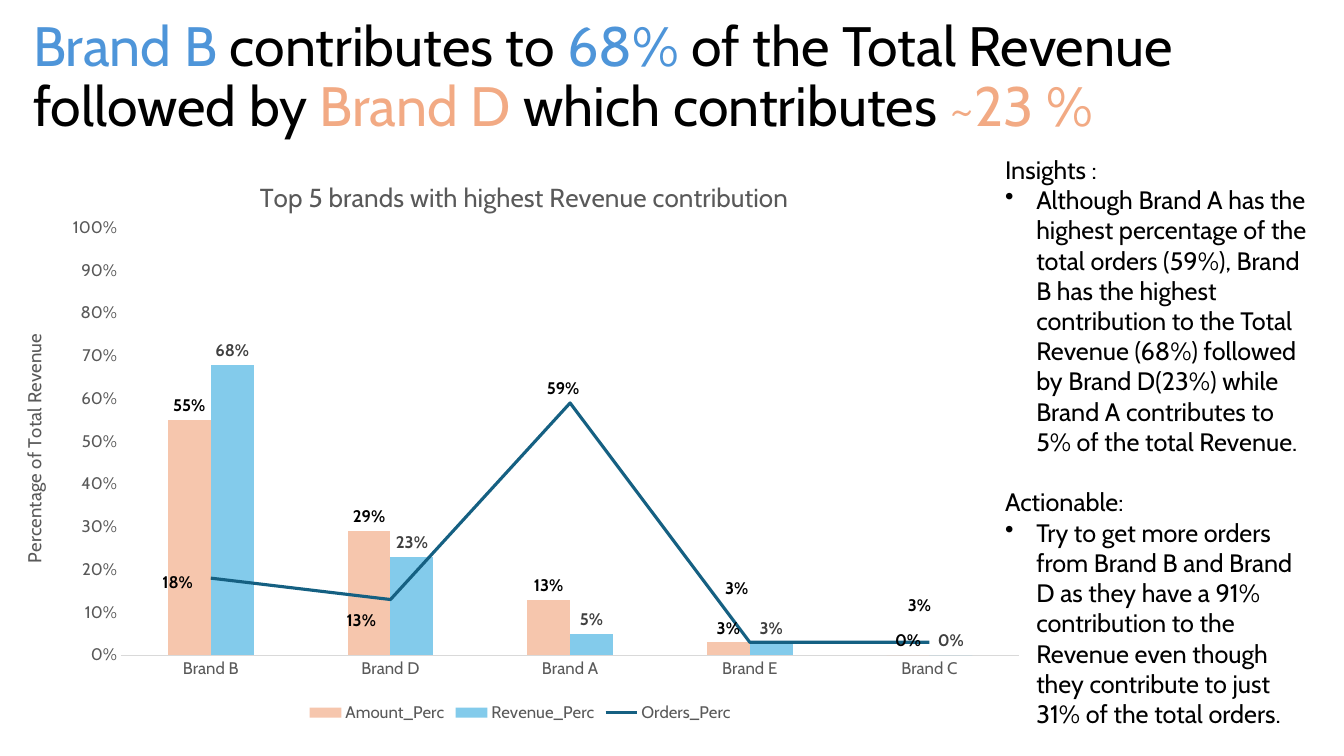
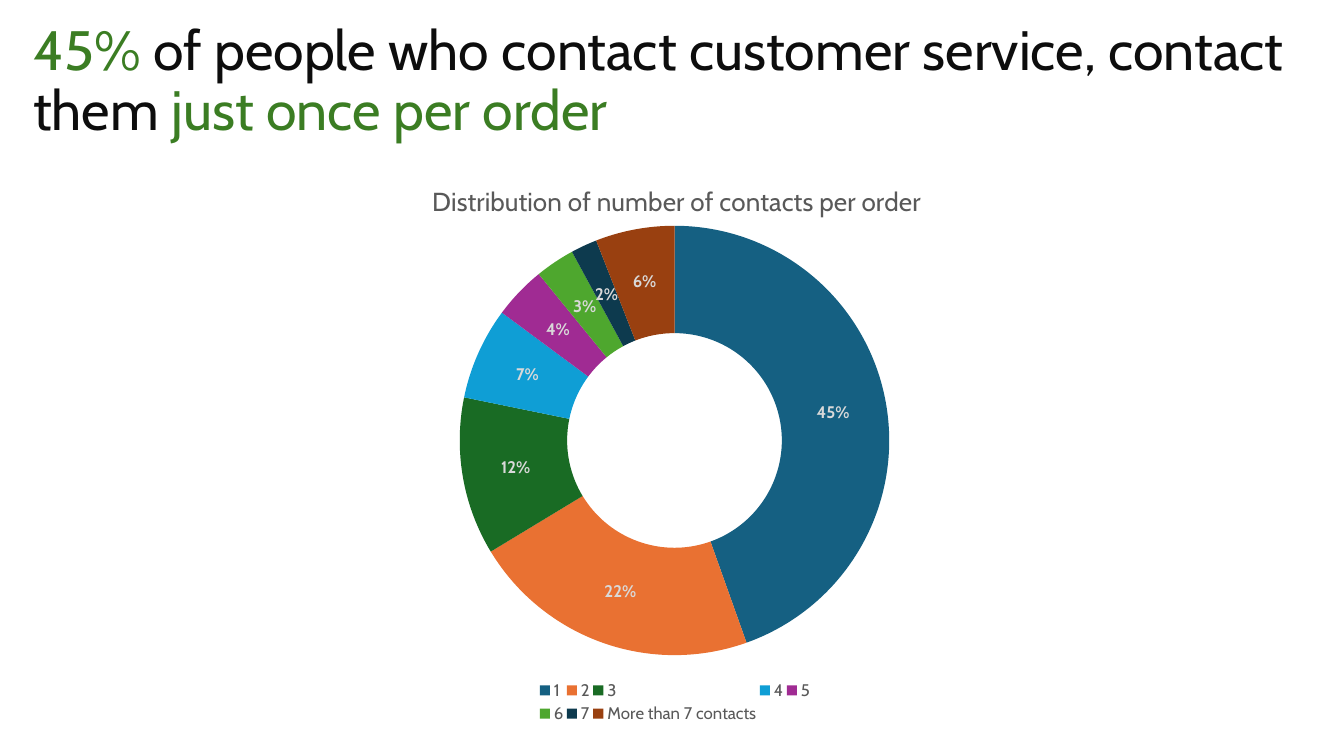
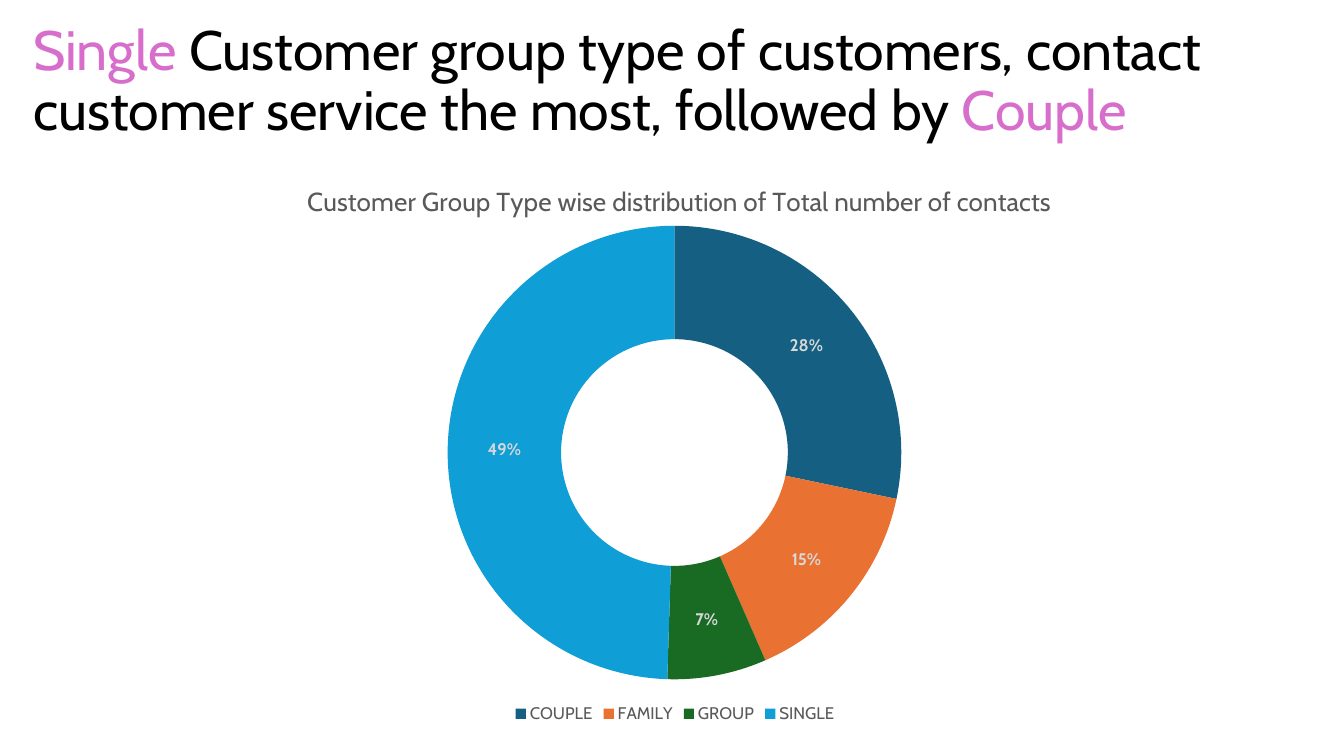
from dataclasses import dataclass
from typing import Optional

import pptx
import pptx.chart.data
import pptx.dml.color
import pptx.enum.chart
import pptx.enum.text
import pptx.oxml
import pptx.oxml.ns
import pptx.util

Inches = pptx.util.Inches
Pt = pptx.util.Pt
ChartType = pptx.enum.chart.XL_CHART_TYPE
LabelPosition = pptx.enum.chart.XL_LABEL_POSITION
NAMESPACE = pptx.oxml.ns.nsdecls("c")
PERCENT = "0%"


@dataclass(frozen=True)
class Theme:
    font: str = "Cabin"
    headline_size: float = 39.6
    chart_title_size: float = 18.6
    body_size: float = 18
    axis_title_size: float = 13.3
    label_size: float = 12
    black: str = "000000"
    near_black: str = "0D0D0D"
    dark_grey: str = "404040"
    grey: str = "595959"
    light_grey: str = "D9D9D9"
    blue: str = "4E95D9"
    peach: str = "F2AA84"
    green: str = "3B7D23"
    pink: str = "D86ECC"
    amount: str = "F6C6AD"
    revenue: str = "83CBEB"
    orders: str = "156082"
    slices: tuple[str, ...] = ("156082", "E97132", "196B24", "0F9ED5",
                               "A02B93", "4EA72E", "0D3A4E", "994010")


THEME = Theme()


@dataclass(frozen=True)
class Box:
    """A rectangle on the slide, in inches."""
    left: float
    top: float
    width: float
    height: float

    def lengths(self) -> list[int]:
        return [Inches(value) for value in (self.left, self.top, self.width, self.height)]


@dataclass(frozen=True)
class Span:
    text: str
    color: str = THEME.black


@dataclass(frozen=True)
class Series:
    name: str
    values: tuple[float, ...]
    color: str
    label_color: str = THEME.black


@dataclass(frozen=True)
class Doughnut:
    headline: tuple[Span, ...]
    title: str
    title_left: float
    slices: dict[str, float]
    plot: Box
    legend: Optional[Box] = None


@dataclass(frozen=True)
class Insight:
    heading: str
    bullet: str


COLUMN_FRAME = Box(0, 1.48, 10.32, 5.73)
COLUMN_PLOT = Box(1.2, 2.26, 8.91, 4.24)
DOUGHNUT_FRAME = Box(0.47, 1.52, 12.45, 5.7)
INSIGHTS_BOX = Box(9.87, 1.48, 3.23, 6.16)
TITLE_DROP = 0.25
BULLET_INDENT = 0.31

BRANDS = ("Brand B", "Brand D", "Brand A", "Brand E", "Brand C")
BRAND_SERIES = (
    Series("Amount_Perc", (0.55, 0.29, 0.13, 0.03, 0), THEME.amount),
    Series("Revenue_Perc", (0.68, 0.23, 0.05, 0.03, 0), THEME.revenue, THEME.dark_grey),
    Series("Orders_Perc", (0.18, 0.13, 0.59, 0.03, 0.03), THEME.orders),
)
ORDER_LABEL_SHIFTS = ((-0.33, 0.05), (-0.29, 0.21), (-0.07, -0.14),
                      (-0.13, -0.53), (-0.1, -0.36))
BRAND_HEADLINE = (
    Span("Brand B", THEME.blue), Span(" contributes to "), Span("68%", THEME.blue),
    Span(" of the Total Revenue followed by "), Span("Brand D", THEME.peach),
    Span(" which contributes "), Span("~23 %", THEME.peach),
)
INSIGHTS = (
    Insight("Insights :",
            "Although Brand A has the highest percentage of the total orders (59%), "
            "Brand B has the highest contribution to the Total Revenue (68%) followed by "
            "Brand D(23%) while Brand A contributes to 5% of the total Revenue."),
    Insight("Actionable:",
            "Try to get more orders from Brand B and Brand D as they have a 91% "
            "contribution to the Revenue even though they contribute to just 31% of the "
            "total orders."),
)
DOUGHNUTS = (
    Doughnut(
        (Span("45% ", THEME.green),
         Span("of people who contact customer service, contact them ", THEME.near_black),
         Span("just once per order", THEME.green)),
        "Distribution of number of contacts per order", 4.24,
        {"1": 0.45, "2": 0.22, "3": 0.12, "4": 0.07, "5": 0.04, "6": 0.03, "7": 0.02,
         "More than 7 contacts": 0.06},
        Box(4.56, 2.24, 4.26, 4.26), Box(5.32, 6.72, 2.75, 0.49)),
    Doughnut(
        (Span("Single ", THEME.pink),
         Span("Customer group type of customers, contact customer service the most, "
              "followed by "),
         Span("Couple", THEME.pink)),
        "Customer Group Type wise distribution of Total number of contacts", 3,
        {"COUPLE": 0.28, "FAMILY": 0.15, "GROUP": 0.07, "SINGLE": 0.49},
        Box(4.44, 2.24, 4.5, 4.5)),
)


def rgb(color: str) -> pptx.dml.color.RGBColor:
    return pptx.dml.color.RGBColor.from_string(color)


def style_font(font, size: float, color: str, bold: bool = False) -> None:
    font.name = THEME.font
    font.size = Pt(size)
    font.bold = bold
    font.color.rgb = rgb(color)


def paint(chart_format, color: str) -> None:
    chart_format.fill.solid()
    chart_format.fill.fore_color.rgb = rgb(color)
    chart_format.line.fill.background()


def add_text_frame(page, box: Box):
    frame = page.shapes.add_textbox(*box.lengths()).text_frame
    frame.word_wrap = True
    return frame


def add_headline(page, spans: tuple[Span, ...], top: float) -> None:
    frame = add_text_frame(page, Box(0.23, top, 12.89, 1.41))
    frame.vertical_anchor = pptx.enum.text.MSO_ANCHOR.MIDDLE
    paragraph = frame.paragraphs[0]
    paragraph.line_spacing = 0.9
    for span in spans:
        run = paragraph.add_run()
        run.text = span.text
        style_font(run.font, THEME.headline_size, span.color)


def add_bullet(paragraph) -> None:
    properties = paragraph._p.get_or_add_pPr()
    properties.set("marL", str(Inches(BULLET_INDENT)))
    properties.set("indent", str(-Inches(BULLET_INDENT)))
    properties.append(pptx.oxml.parse_xml(
        f'<a:buChar {pptx.oxml.ns.nsdecls("a")} char="•"/>'))


def add_insights(page) -> None:
    frame = add_text_frame(page, INSIGHTS_BOX)
    frame.text = "\n".join(f"{item.heading}\n{item.bullet}" for item in INSIGHTS)
    for index, paragraph in enumerate(frame.paragraphs):
        style_font(paragraph.runs[0].font, THEME.body_size, THEME.black)
        if index % 2:
            add_bullet(paragraph)
        elif index:
            paragraph.space_before = Pt(21.6)


def set_layout(element, index: int, **settings) -> None:
    """Give a chart element a manual layout, as its child number index."""
    for old in element.xpath("c:layout"):
        element.remove(old)
    tags = "".join(f'<c:{name} val="{value}"/>' for name, value in settings.items())
    element.insert(index, pptx.oxml.parse_xml(
        f"<c:layout {NAMESPACE}><c:manualLayout>{tags}</c:manualLayout></c:layout>"))


def place(element, index: int, box: Box, frame: Box, **settings) -> None:
    """Place a part of a chart on a box measured on the slide."""
    settings |= {"xMode": "edge", "yMode": "edge",
                 "x": (box.left - frame.left) / frame.width,
                 "y": (box.top - frame.top) / frame.height}
    if box.width:
        settings |= {"w": box.width / frame.width, "h": box.height / frame.height}
    set_layout(element, index, **settings)


def add_chart(page, kind, frame: Box, data, title: str, title_left: float, plot: Box):
    chart = page.shapes.add_chart(kind, *frame.lengths(), data).chart
    style_font(chart.font, 10, THEME.black)
    chart.has_title = True
    heading = chart.chart_title
    heading.text_frame.text = title
    style_font(heading.text_frame.paragraphs[0].runs[0].font,
               THEME.chart_title_size, THEME.grey)
    place(heading._element, 1, Box(title_left, frame.top + TITLE_DROP, 0, 0), frame)
    place(chart._chartSpace.xpath("c:chart/c:plotArea")[0], 0, plot, frame,
          layoutTarget="inner")
    chart.has_legend = True
    chart.legend.position = pptx.enum.chart.XL_LEGEND_POSITION.BOTTOM
    chart.legend.include_in_layout = False
    style_font(chart.legend.font, THEME.label_size, THEME.grey)
    return chart


def show_labels(series, color: str, position=None) -> None:
    labels = series.data_labels
    labels.show_value = True
    labels.number_format = PERCENT
    labels.number_format_is_linked = False
    style_font(labels.font, THEME.label_size, color, bold=True)
    if position is not None:
        labels.position = position
    for leader in labels._element.xpath("c:showLeaderLines"):
        leader.set("val", "0")


def move_last_series_to_line(chart) -> None:
    columns = chart._chartSpace.xpath(".//c:barChart")[0]
    orders = columns.xpath("c:ser")[-1]
    for flag in orders.xpath("c:invertIfNegative"):
        orders.remove(flag)
    axes = "".join(f'<c:axId val="{axis.get("val")}"/>' for axis in columns.xpath("c:axId"))
    line = pptx.oxml.parse_xml(
        f'<c:lineChart {NAMESPACE}><c:grouping val="standard"/><c:varyColors val="0"/>'
        f'<c:marker val="1"/>{axes}</c:lineChart>')
    line.insert(2, orders)
    columns.addnext(line)


def style_order_line(series, style: Series) -> None:
    series.smooth = False
    series.marker.style = pptx.enum.chart.XL_MARKER_STYLE.NONE
    series.format.line.color.rgb = rgb(style.color)
    series.format.line.width = Pt(2.25)
    show_labels(series, style.label_color, LabelPosition.CENTER)
    for index, (right, down) in enumerate(ORDER_LABEL_SHIFTS):
        label = series.points[index].data_label
        style_font(label.font, THEME.label_size, style.label_color, bold=True)
        label.position = LabelPosition.CENTER
        element = series._element.xpath(f"c:dLbls/c:dLbl[c:idx/@val='{index}']")[0]
        set_layout(element, 1, x=right / COLUMN_FRAME.width, y=down / COLUMN_FRAME.height)


def style_axes(chart) -> None:
    for axis in (chart.category_axis, chart.value_axis):
        axis.has_major_gridlines = False
        axis.major_tick_mark = axis.minor_tick_mark = pptx.enum.chart.XL_TICK_MARK.NONE
        style_font(axis.tick_labels.font, THEME.label_size, THEME.grey)
    chart.category_axis.format.line.color.rgb = rgb(THEME.light_grey)
    chart.category_axis.format.line.width = Pt(0.75)

    scale = chart.value_axis
    scale.minimum_scale, scale.maximum_scale, scale.major_unit = 0, 1, 0.1
    scale.format.line.fill.background()
    scale.tick_labels.number_format = PERCENT
    scale.tick_labels.number_format_is_linked = False
    caption = scale.axis_title.text_frame
    caption.text = "Percentage of Total Revenue"
    caption._txBody.bodyPr.set("rot", "-5400000")
    caption._txBody.bodyPr.set("vert", "horz")
    style_font(caption.paragraphs[0].runs[0].font, THEME.axis_title_size, THEME.grey)


def add_brand_chart(page) -> None:
    data = pptx.chart.data.CategoryChartData(number_format=PERCENT)
    data.categories = BRANDS
    for series in BRAND_SERIES:
        data.add_series(series.name, series.values)
    chart = add_chart(page, ChartType.COLUMN_CLUSTERED, COLUMN_FRAME, data,
                      "Top 5 brands with highest Revenue contribution", 2.53, COLUMN_PLOT)
    style_axes(chart)
    move_last_series_to_line(chart)
    columns, line = chart.plots
    columns.vary_by_categories = False
    columns.gap_width = 219
    columns.overlap = 0
    for series, style in zip(columns.series, BRAND_SERIES):
        paint(series.format, style.color)
        show_labels(series, style.label_color, LabelPosition.OUTSIDE_END)
    style_order_line(line.series[0], BRAND_SERIES[-1])


def add_doughnut(page, doughnut: Doughnut) -> None:
    data = pptx.chart.data.CategoryChartData(number_format=PERCENT)
    data.categories = doughnut.slices.keys()
    data.add_series("Series 1", doughnut.slices.values())
    chart = add_chart(page, ChartType.DOUGHNUT, DOUGHNUT_FRAME, data,
                      doughnut.title, doughnut.title_left, doughnut.plot)
    if doughnut.legend:
        place(chart.legend._element, 1, doughnut.legend, DOUGHNUT_FRAME)
    chart.plots[0].vary_by_categories = True
    series = chart.plots[0].series[0]
    for index, color in enumerate(THEME.slices[:len(doughnut.slices)]):
        paint(series.points[index].format, color)
    show_labels(series, THEME.light_grey)


def main() -> None:
    deck = pptx.Presentation()
    deck.slide_width, deck.slide_height = Inches(13.33), Inches(7.5)
    blank = deck.slide_layouts[6]

    page = deck.slides.add_slide(blank)
    add_headline(page, BRAND_HEADLINE, 0.07)
    add_brand_chart(page)
    add_insights(page)

    for doughnut in DOUGHNUTS:
        page = deck.slides.add_slide(blank)
        add_doughnut(page, doughnut)
        add_headline(page, doughnut.headline, 0.11)

    deck.save("out.pptx")


if __name__ == "__main__":
    main()
